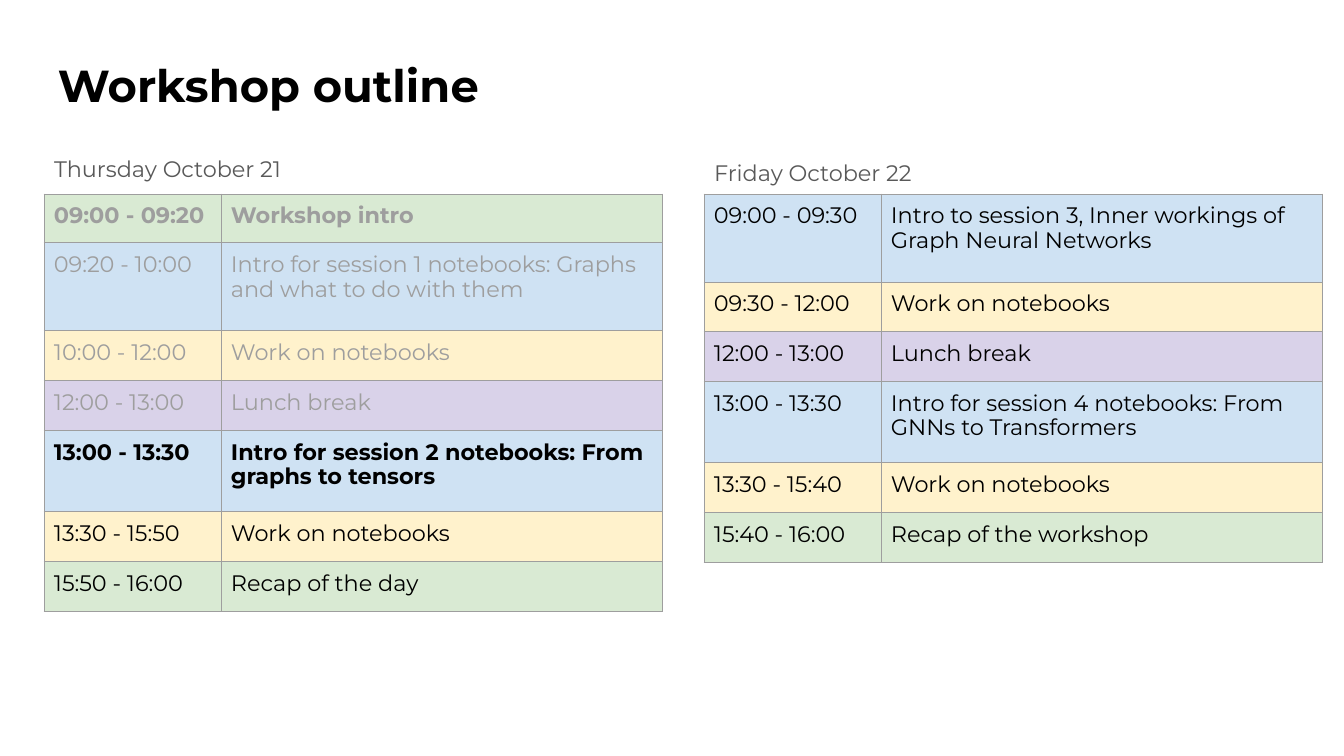
from lxml import etree
from pptx import Presentation
from pptx import util as u
from pptx.dml.color import RGBColor
from pptx.enum import text
from pptx.oxml import ns

BLACK = RGBColor(0x00, 0x00, 0x00)
GRAY = RGBColor(0x9E, 0x9E, 0x9E)
DARK_GRAY = RGBColor(0x59, 0x59, 0x59)
GREEN = RGBColor(0xD9, 0xEA, 0xD3)
BLUE = RGBColor(0xCF, 0xE2, 0xF3)
YELLOW = RGBColor(0xFF, 0xF2, 0xCC)
PURPLE = RGBColor(0xD9, 0xD2, 0xE9)

DONE = dict(color=GRAY)
DONE_BOLD = dict(color=GRAY, bold=True)
CURRENT = dict(bold=True)
NEXT = {}

THURSDAY = [
    ("09:00 - 09:20", "Workshop intro", 49, GREEN, DONE_BOLD),
    ("09:20 - 10:00", "Intro for session 1 notebooks: Graphs and what to do with them", 88, BLUE, DONE),
    ("10:00 - 12:00", "Work on notebooks", 50, YELLOW, DONE),
    ("12:00 - 13:00", "Lunch break", 50, PURPLE, DONE),
    ("13:00 - 13:30", "Intro for session 2 notebooks: From graphs to tensors", 81, BLUE, CURRENT),
    ("13:30 - 15:50", "Work on notebooks", 50, YELLOW, NEXT),
    ("15:50 - 16:00", "Recap of the day", 50, GREEN, NEXT),
]
FRIDAY = [
    ("09:00 - 09:30", "Intro to session 3, Inner workings of Graph Neural Networks", 88, BLUE, NEXT),
    ("09:30 - 12:00", "Work on notebooks", 50, YELLOW, NEXT),
    ("12:00 - 13:00", "Lunch break", 50, PURPLE, NEXT),
    ("13:00 - 13:30", "Intro for session 4 notebooks: From GNNs to Transformers", 81, BLUE, NEXT),
    ("13:30 - 15:40", "Work on notebooks", 50, YELLOW, NEXT),
    ("15:40 - 16:00", "Recap of the workshop", 50, GREEN, NEXT),
]


def px(n):
    return u.Emu(round(n * 914400 / 100.8))


def write(tf, content, size=16, color=BLACK, bold=False, line=1.0, before=0, after=0):
    p = tf.paragraphs[0]
    p.line_spacing = line
    p.space_before, p.space_after = u.Pt(before), u.Pt(after)
    r = p.add_run()
    r.text = content
    r.font.name, r.font.size, r.font.bold = "Montserrat", u.Pt(size), bold
    r.font.color.rgb = color


class Deck:
    """Holds the agenda style and the current slide."""

    border = GRAY
    columns = (177, 441)
    padding = 10

    def __init__(self, prs):
        self.slide = prs.slides.add_slide(prs.slide_layouts[6])

    def label(self, content, x, y, w, h, margins, anchor=text.MSO_ANCHOR.MIDDLE, **style):
        tf = self.slide.shapes.add_textbox(px(x), px(y), px(w), px(h)).text_frame
        tf.word_wrap = True
        tf.vertical_anchor = anchor
        tf.margin_left, tf.margin_top, tf.margin_right, tf.margin_bottom = map(px, margins)
        write(tf, content, **style)

    def outline(self, cell):
        tcPr = cell._tc.get_or_add_tcPr()
        for side in ("lnL", "lnR", "lnT", "lnB"):
            ln = etree.SubElement(tcPr, ns.qn(f"a:{side}"), w=str(u.Pt(0.75)))
            fill = etree.SubElement(ln, ns.qn("a:solidFill"))
            etree.SubElement(fill, ns.qn("a:srgbClr"), val=str(self.border))

    def cell(self, cell, content, fill, style):
        pad = px(self.padding)
        cell.margin_left = cell.margin_right = cell.margin_top = cell.margin_bottom = pad
        self.outline(cell)
        cell.fill.solid()
        cell.fill.fore_color.rgb = fill
        write(cell.text_frame, content, line=0.9, before=10, **style)

    def agenda(self, rows, x, y):
        height = sum(row[2] for row in rows)
        table = self.slide.shapes.add_table(
            len(rows), 2, px(x), px(y), px(sum(self.columns)), px(height)).table
        table.first_row = table.horz_banding = False
        for column, w in zip(table.columns, self.columns):
            column.width = px(w)
        for i, (time, topic, h, fill, style) in enumerate(rows):
            table.rows[i].height = px(h)
            for j, content in enumerate((time, topic)):
                self.cell(table.cell(i, j), content, fill, style)


def main():
    prs = Presentation()
    prs.slide_width, prs.slide_height = px(1344), px(756)
    deck = Deck(prs)
    deck.label("Workshop outline", 45, 45, 1252, 84, (13, 13, 13, 13),
               anchor=text.MSO_ANCHOR.TOP, size=32, bold=True)
    deck.label("Thursday October 21", 44, 147, 618, 46, (10, 0, 0, 0),
               color=DARK_GRAY, line=0.9)
    deck.label("Friday October 22", 704, 150, 618, 46, (10, 0, 0, 0),
               color=DARK_GRAY, after=16)
    deck.agenda(THURSDAY, 44, 194)
    deck.agenda(FRIDAY, 704, 194)
    prs.save("out.pptx")


if __name__ == "__main__":
    main()
